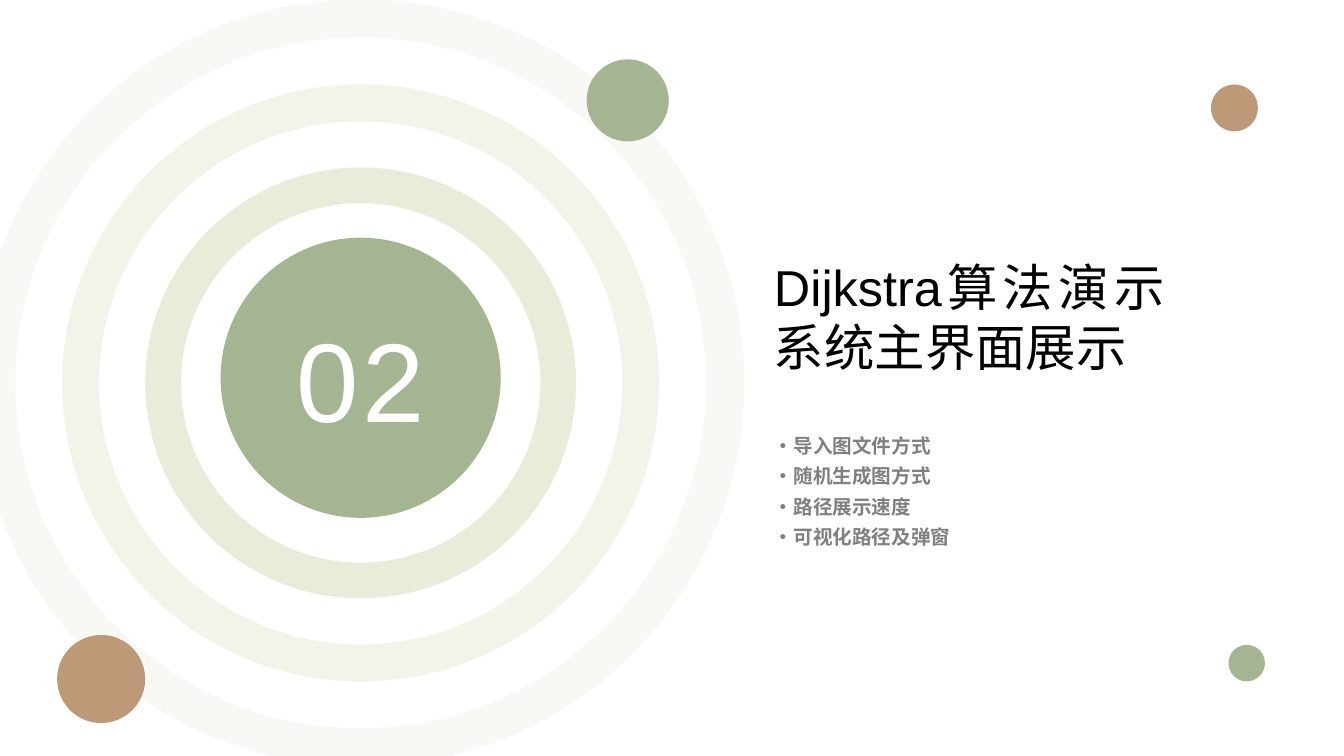
from lxml import etree
from pptx import Presentation
from pptx.dml.color import RGBColor
from pptx.enum.shapes import MSO_SHAPE
from pptx.enum.text import MSO_ANCHOR, MSO_AUTO_SIZE, PP_ALIGN
from pptx.oxml.ns import qn
from pptx.util import Cm, Pt

OVAL, DONUT = MSO_SHAPE.OVAL, MSO_SHAPE.DONUT
TOP, GROW = MSO_ANCHOR.TOP, MSO_AUTO_SIZE.SHAPE_TO_FIT_TEXT
CENTER, JUSTIFY = PP_ALIGN.CENTER, PP_ALIGN.JUSTIFY
COLORS = {
    "sage": "A5B592",
    "cream": "DFE5CA",
    "tan": "BD9977",
    "white": "FFFFFF",
    "gray": "808080",
    "black": "000000",
}
LATIN, CJK = "Arial", "Noto Sans CJK SC"
TITLE = "Dijkstra算法演示系统主界面展示"
TOPICS = ["·导入图文件方式", "·随机生成图方式", "·路径展示速度", "·可视化路径及弹窗"]
RINGS = [(19.34, 0.05, 20), (15.05, 0.062, 40), (10.86, 0.083, 70)]
DOTS = [
    (31.11, 2.72, 1.18, "tan"),
    (2.55, 17.11, 2.22, "tan"),
    (31.42, 16.71, 0.92, "sage"),
    (15.82, 2.53, 2.07, "sage"),
]


def add_round(slide, kind, cx, cy, size, color):
    sp = slide.shapes.add_shape(
        kind, Cm(cx - size / 2), Cm(cy - size / 2), Cm(size), Cm(size))
    sp.shadow.inherit = False
    sp.fill.solid()
    sp.fill.fore_color.rgb = RGBColor.from_string(COLORS[color])
    sp.line.fill.background()
    return sp


def set_alpha(sp, percent):
    clr = sp._element.spPr.find(qn("a:solidFill"))[0]
    etree.SubElement(clr, qn("a:alpha"), val=str(percent * 1000))


def format_text(sp, lines, size, font, color, align=None, spacing=1.0, bold=False):
    tf = sp.text_frame
    tf.text = "\n".join(lines)
    tf.word_wrap = True
    tf.auto_size = GROW
    tf.vertical_anchor = TOP
    for p in tf.paragraphs:
        p.alignment = align
        p.line_spacing = spacing
        p.font.size = Pt(size)
        p.font.bold = bold
        p.font.name = font
        p.font.color.rgb = RGBColor.from_string(COLORS[color])
        for r in p.runs:
            etree.SubElement(r._r.get_or_add_rPr(), qn("a:ea"), typeface=font)


def add_emblem(slide, left, top, size):
    cx, cy = left + size / 2, top + size / 2
    for diameter, thickness, opacity in RINGS:
        ring = add_round(slide, DONUT, cx, cy, diameter, "cream")
        ring.adjustments[0] = thickness
        set_alpha(ring, opacity)
    add_round(slide, OVAL, cx, cy - 0.13, 7.06, "sage")
    number = slide.shapes.add_textbox(
        Cm(cx - 2.46), Cm(cy - 1.95), Cm(4.92), Cm(3.68))
    format_text(number, ["02"], 80, LATIN, "white", CENTER)
    number.text_frame.paragraphs[0].runs[0]._r.get_or_add_rPr().set("spc", "300")


def add_heading(slide, left, top, width):
    title = slide.shapes.title
    title.left, title.top = Cm(left), Cm(top)
    title.width, title.height = Cm(width), Cm(3.33)
    format_text(title, [TITLE], 36, LATIN, "black", JUSTIFY)
    topics = slide.shapes.add_textbox(
        Cm(left), Cm(top + 4.3), Cm(width + 0.59), Cm(3.28))
    format_text(topics, TOPICS, 14, CJK, "gray", spacing=1.3, bold=True)


def add_dots(slide):
    for cx, cy, size, color in DOTS:
        add_round(slide, OVAL, cx, cy, size, color)


def main():
    prs = Presentation()
    prs.slide_width, prs.slide_height = Cm(33.87), Cm(19.05)
    slide = prs.slides.add_slide(prs.slide_layouts[5])
    add_emblem(slide, -0.58, -0.02, 19.34)
    add_heading(slide, 19.25, 6.32, 10.36)
    add_dots(slide)
    prs.save("out.pptx")


if __name__ == "__main__":
    main()
